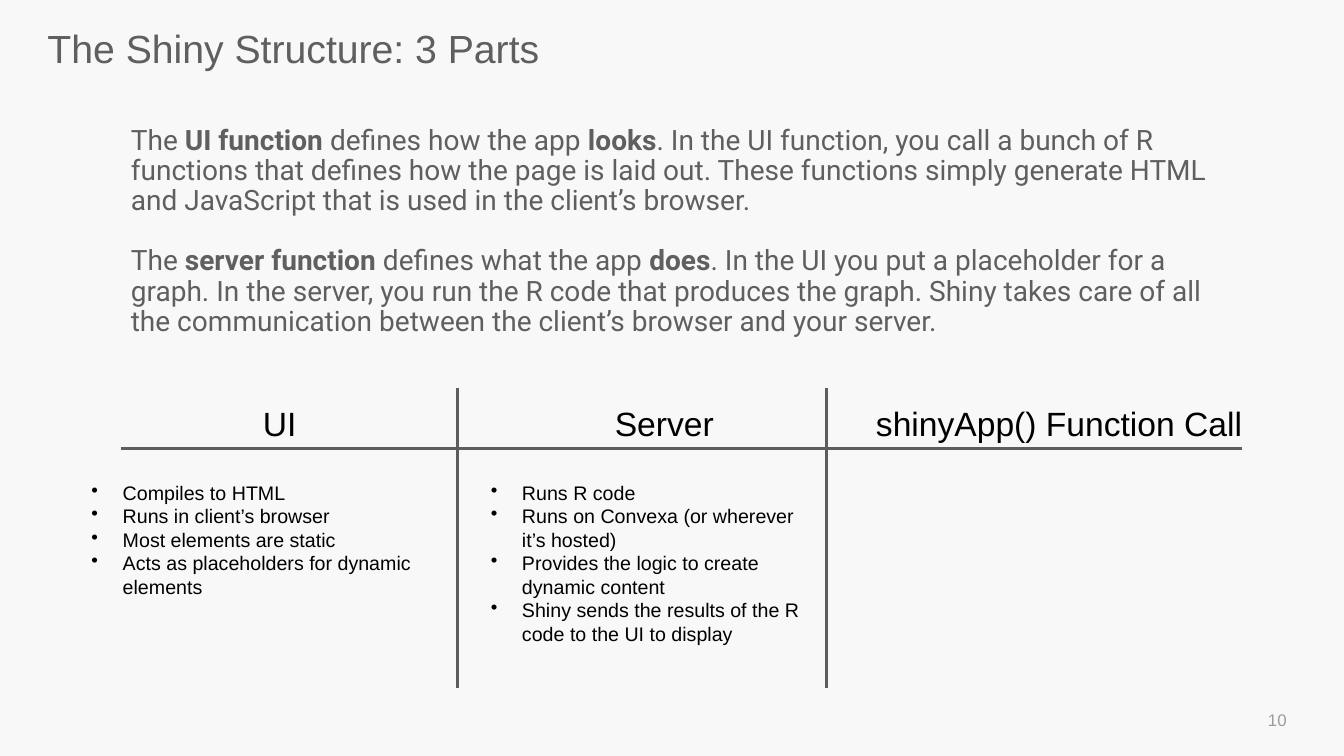
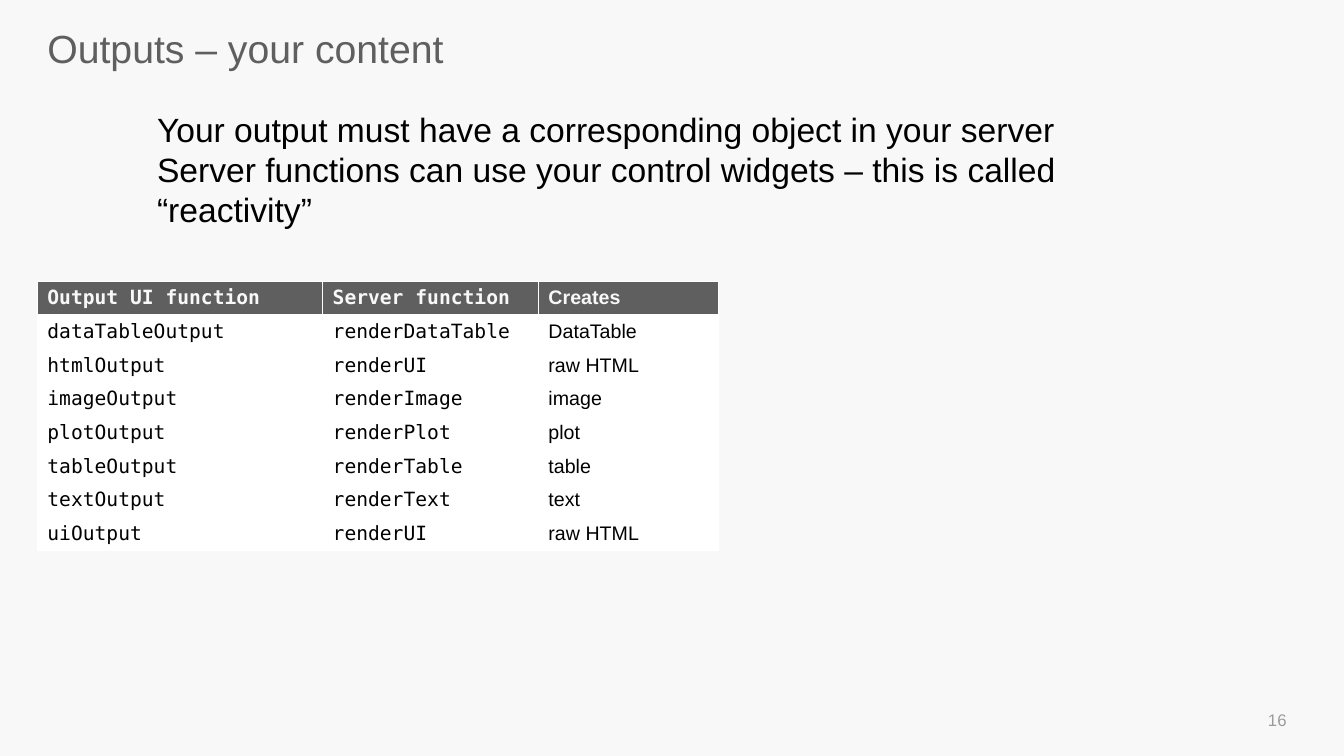
from dataclasses import dataclass

from lxml import etree
from pptx import Presentation
from pptx.dml.color import RGBColor
from pptx.enum.shapes import MSO_CONNECTOR
from pptx.enum.text import MSO_ANCHOR, PP_ALIGN
from pptx.oxml.ns import qn
from pptx.util import Inches, Pt

STRAIGHT = MSO_CONNECTOR.STRAIGHT
MIDDLE = MSO_ANCHOR.MIDDLE
LEFT, RIGHT = PP_ALIGN.LEFT, PP_ALIGN.RIGHT

COLORS = {
    "background": "F8F8F8",
    "heading": "5F5F5F",
    "rule": "5D5D5D",
    "number": "9B9B9B",
    "text": "000000",
    "cell": "FFFFFF",
}
SANS, MONO, BODY = "Arial", "DejaVu Sans Mono", "Roboto"
BULLET_INDENT = Inches(0.31)

INTRO = [
    "The *UI function *defines how the app *looks*. In the UI function, you call a bunch of R "
    "functions that defines how the page is laid out. These functions simply generate HTML and "
    "JavaScript that is used in the client’s browser.",
    "The *server function* defines what the app *does*. In the UI you put a placeholder for a "
    "graph. In the server, you run the R code that produces the graph. Shiny takes care of all "
    "the communication between the client’s browser and your server.",
]
HEADINGS = [
    ("UI", 11.78, 11.6),
    ("Server", 43.17, 11.6),
    ("shinyApp() Function Call", 66.46, 38.4),
]
BULLETS = [
    (-3.51, [
        "Compiles to HTML",
        "Runs in client’s browser",
        "Most elements are static",
        "Acts as placeholders for dynamic elements",
    ]),
    (32.1, [
        "Runs R code",
        "Runs on Convexa (or wherever it’s hosted)",
        "Provides the logic to create dynamic content",
        "Shiny sends the results of the R code to the UI to display",
    ]),
]
OUTPUT_NOTES = [
    "Your output must have a corresponding object in your server",
    "Server functions can use your control widgets – this is called “reactivity”",
]
OUTPUT_ROWS = [
    ("Output UI function", "Server function", "Creates"),
    ("dataTableOutput", "renderDataTable", "DataTable"),
    ("htmlOutput", "renderUI", "raw HTML"),
    ("imageOutput", "renderImage", "image"),
    ("plotOutput", "renderPlot", "plot"),
    ("tableOutput", "renderTable", "table"),
    ("textOutput", "renderText", "text"),
    ("uiOutput", "renderUI", "raw HTML"),
]
COLUMN_WEIGHTS = [2.83, 2.14, 1.79]
COLUMN_FONTS = [MONO, MONO, SANS]


@dataclass
class Box:
    left: int
    top: int
    width: int
    height: int

    def point(self, x, y):
        return int(self.left + self.width * x / 100), int(self.top + self.height * y / 100)

    def area(self, x, y, width, height):
        return Box(*self.point(x, y), int(self.width * width / 100), int(self.height * height / 100))

    def bounds(self):
        return self.left, self.top, self.width, self.height


def rgb(name):
    return RGBColor.from_string(COLORS[name])


def style(para, size, color, font=SANS, bold=False):
    para.font.size = Pt(size)
    para.font.name = font
    para.font.bold = bold
    para.font.color.rgb = rgb(color)


def add_text(page, box, lines, size, color="text", font=SANS, align=LEFT):
    frame = page.shapes.add_textbox(*box.bounds()).text_frame
    frame.word_wrap = True
    for index, line in enumerate(lines):
        para = frame.paragraphs[0] if index == 0 else frame.add_paragraph()
        para.alignment = align
        style(para, size, color, font)
        for order, piece in enumerate(line.split("*")):
            span = para.add_run()
            span.text = piece
            if order % 2:
                span.font.bold = True
    return frame


def add_bullets(frame):
    for para in frame.paragraphs:
        props = para._p.get_or_add_pPr()
        props.set("marL", str(BULLET_INDENT))
        props.set("indent", str(-BULLET_INDENT))
        bullet = etree.Element(qn("a:buChar"), char="•")
        props.insert(0, bullet)


def add_rule(page, start, end):
    rule = page.shapes.add_connector(STRAIGHT, *start, *end)
    rule.line.color.rgb = rgb("rule")
    rule.line.width = Pt(2.25)
    etree.SubElement(rule._element.spPr, qn("a:effectLst"))


def add_page(deck, canvas, title, number):
    page = deck.slides.add_slide(deck.slide_layouts[6])
    frame = add_text(page, canvas.area(3.53, 4.13, 92.95, 11.87), [title], 28, "heading")
    frame.margin_left = frame.margin_top = frame.margin_right = frame.margin_bottom = 0
    frame.paragraphs[0].line_spacing = 0.86
    footer = add_text(page, canvas.area(73.97, 92.53, 22.5, 5.33), [str(number)], 12, "number", align=RIGHT)
    footer.vertical_anchor = MIDDLE
    return page


def add_intro(page, box):
    frame = add_text(page, box, INTRO, 20, "heading", BODY)
    for para in frame.paragraphs:
        para.line_spacing = 0.9
    frame.paragraphs[1].space_before = Pt(21.5)


def add_comparison(page, box):
    add_rule(page, box.point(0, 20.13), box.point(100, 20.13))
    for x in (30.04, 62.95):
        add_rule(page, box.point(x, 0), box.point(x, 100))
    for heading, x, width in HEADINGS:
        add_text(page, box.area(x, 3.36, width, 16.78), [heading], 24)
    for x, lines in BULLETS:
        add_bullets(add_text(page, box.area(x, 29.19, 30.49, 58.72), lines, 14))


def add_output_table(page, box):
    table = page.shapes.add_table(len(OUTPUT_ROWS), len(COLUMN_WEIGHTS), *box.bounds()).table
    table.horz_banding = False
    for column, weight in zip(table.columns, COLUMN_WEIGHTS):
        column.width = int(box.width * weight / sum(COLUMN_WEIGHTS))
    for row, texts in enumerate(OUTPUT_ROWS):
        header = row == 0
        for column, text in enumerate(texts):
            cell = table.cell(row, column)
            cell.text = text
            cell.vertical_anchor = MIDDLE
            cell.fill.solid()
            cell.fill.fore_color.rgb = rgb("heading" if header else "cell")
            color = "background" if header else "text"
            style(cell.text_frame.paragraphs[0], 14, color, COLUMN_FONTS[column], header)


def structure_page(deck, canvas):
    page = add_page(deck, canvas, "The Shiny Structure: 3 Parts", 10)
    add_intro(page, canvas.area(9, 16, 82, 47.33))
    add_comparison(page, canvas.area(9, 51.33, 83.42, 39.73))


def outputs_page(deck, canvas):
    page = add_page(deck, canvas, "Outputs – your content", 16)
    add_output_table(page, canvas.area(2.78, 37.2, 50.71, 35.2))
    add_text(page, canvas.area(10.95, 13.73, 71.57, 17.47), OUTPUT_NOTES, 24)


def main():
    deck = Presentation()
    deck.slide_width, deck.slide_height = Inches(13.33), Inches(7.5)
    fill = deck.slide_master.background.fill
    fill.solid()
    fill.fore_color.rgb = rgb("background")
    canvas = Box(0, 0, deck.slide_width, deck.slide_height)
    structure_page(deck, canvas)
    outputs_page(deck, canvas)
    deck.save("out.pptx")


if __name__ == "__main__":
    main()
